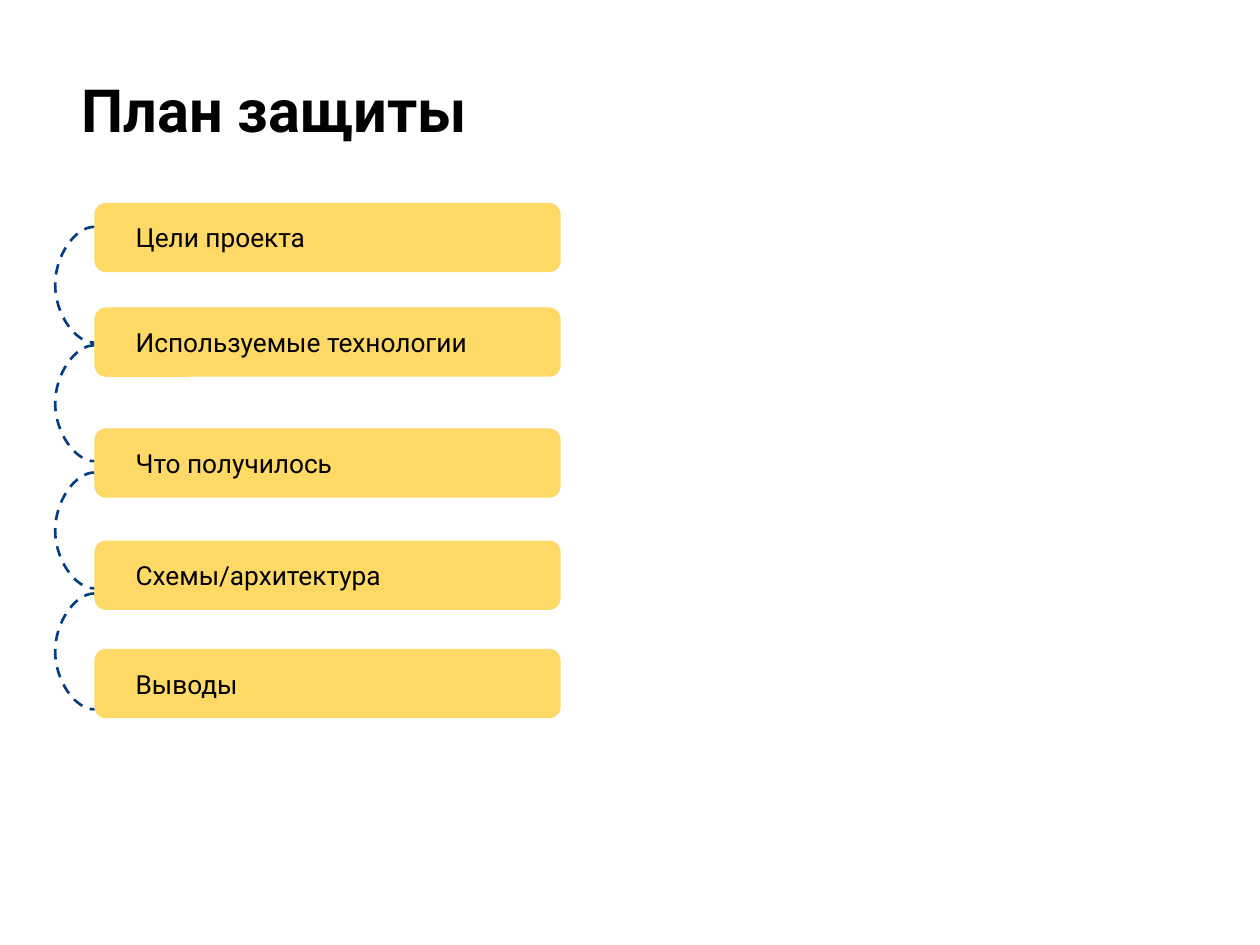
from lxml import etree
from pptx import Presentation
from pptx.dml.color import RGBColor
from pptx.enum.dml import MSO_LINE
from pptx.enum.shapes import MSO_CONNECTOR, MSO_SHAPE
from pptx.enum.text import MSO_ANCHOR, PP_ALIGN
from pptx.oxml.ns import qn
from pptx.util import Emu, Inches, Pt

CURVE, BOX, DASH = MSO_CONNECTOR.CURVE, MSO_SHAPE.ROUNDED_RECTANGLE, MSO_LINE.DASH
TOP, MIDDLE, LEFT = MSO_ANCHOR.TOP, MSO_ANCHOR.MIDDLE, PP_ALIGN.LEFT

TITLE = "План защиты"
STEPS = [
    ("Цели проекта", 1.61),
    ("Используемые технологии", 2.44),
    ("Что получилось", 3.4),
    ("Схемы/архитектура", 4.29),
    ("Выводы", 5.15),
]
ARC_TOPS = [1.8, 2.74, 3.75, 4.71]
COLORS = {"text": "000000", "step": "FFD966", "arc": "013D85"}
FONT = "Roboto"
STEP_X, STEP_W, STEP_H = 0.75, 3.7, 0.55
ARC_H, ARC_DEPTH, ARC_W = 0.92, 0.26, Emu(600)


def color(name):
    return RGBColor.from_string(COLORS[name])


def write(sp, text, size, margin, anchor, bold=False):
    tf = sp.text_frame
    tf.word_wrap = True
    tf.vertical_anchor = anchor
    tf.margin_left = tf.margin_right = Inches(margin)
    tf.margin_top = tf.margin_bottom = Inches(0.1)
    tf.text = text
    p = tf.paragraphs[0]
    p.alignment = LEFT
    font = p.runs[0].font
    font.name, font.size, font.bold = FONT, Pt(size), bold
    font.color.rgb = color("text")


def add_arc(s, top):
    x, y = Inches(STEP_X), Inches(top)
    arc = s.shapes.add_connector(CURVE, x, y, x + ARC_W, y + Inches(ARC_H))
    arc.line.color.rgb = color("arc")
    arc.line.width = Pt(1.5)
    arc.line.dash_style = DASH
    props = arc._element.spPr
    bend = -round(Inches(ARC_DEPTH) / ARC_W * 100000)
    guides = props.find(qn("a:prstGeom")).find(qn("a:avLst"))
    etree.SubElement(guides, qn("a:gd"), name="adj1", fmla=f"val {bend}")
    etree.SubElement(props, qn("a:effectLst"))


def add_step(s, text, top):
    sp = s.shapes.add_shape(BOX, Inches(STEP_X), Inches(top), Inches(STEP_W), Inches(STEP_H))
    sp.shadow.inherit = False
    sp.adjustments[0] = 0.167
    sp.fill.solid()
    sp.fill.fore_color.rgb = color("step")
    sp.line.fill.background()
    write(sp, text, 15, 0.3, MIDDLE)


def main():
    prs = Presentation()
    prs.slide_width, prs.slide_height = Inches(10), Inches(7.5)
    s = prs.slides.add_slide(prs.slide_layouts[6])
    title = s.shapes.add_textbox(Inches(0.55), Inches(0.48), Inches(9.32), Inches(0.92))
    write(title, TITLE, 34, 0.1, TOP, bold=True)
    for top in ARC_TOPS:
        add_arc(s, top)
    for text, top in STEPS:
        add_step(s, text, top)
    prs.save("out.pptx")


if __name__ == "__main__":
    main()
